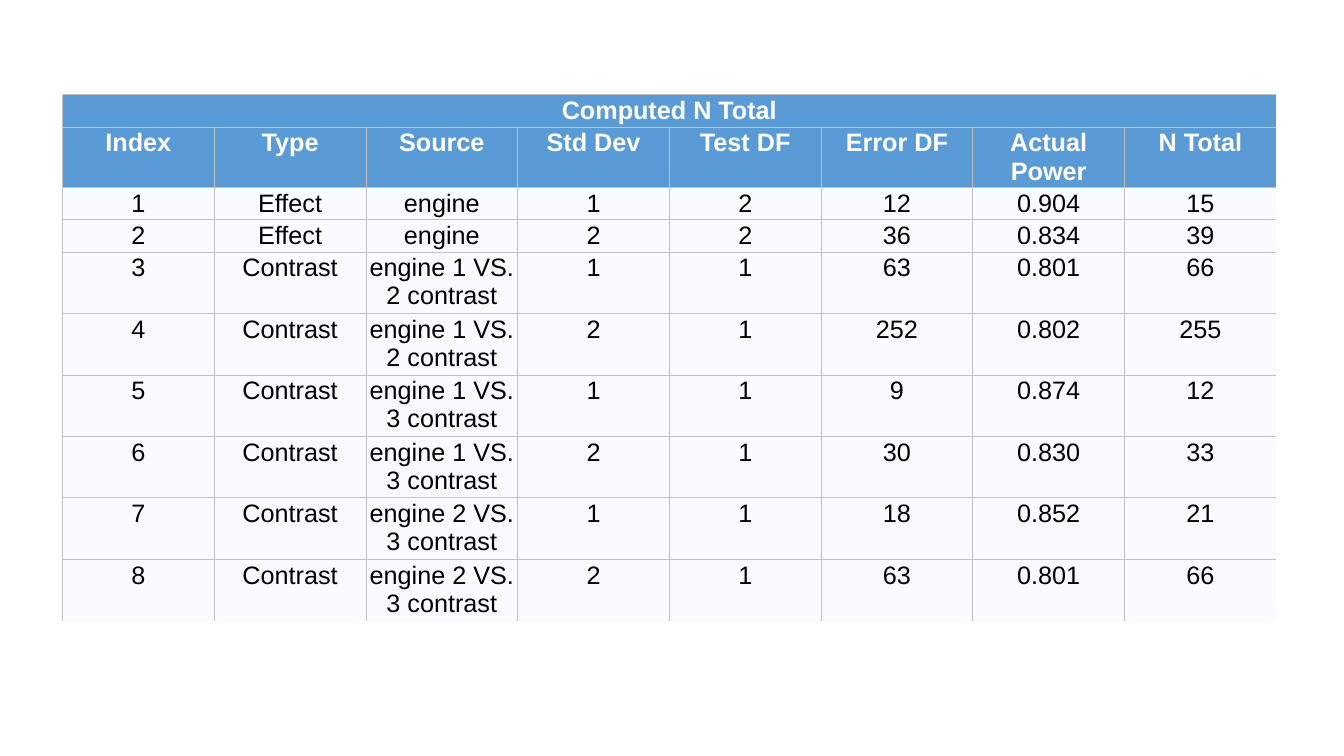
from lxml import etree
from pptx import Presentation
from pptx.dml.color import RGBColor
from pptx.enum.text import PP_ALIGN
from pptx.oxml.ns import qn
from pptx.util import Inches, Pt

CENTER = PP_ALIGN.CENTER

# Content
TITLE = "Computed N Total"
HEADERS = ["Index", "Type", "Source", "Std Dev", "Test DF", "Error DF",
           "Actual Power", "N Total"]
RESULTS = [
    ("Effect", "engine", 1, 2, 12, "0.904", 15),
    ("Effect", "engine", 2, 2, 36, "0.834", 39),
    ("Contrast", "engine 1 VS. 2 contrast", 1, 1, 63, "0.801", 66),
    ("Contrast", "engine 1 VS. 2 contrast", 2, 1, 252, "0.802", 255),
    ("Contrast", "engine 1 VS. 3 contrast", 1, 1, 9, "0.874", 12),
    ("Contrast", "engine 1 VS. 3 contrast", 2, 1, 30, "0.830", 33),
    ("Contrast", "engine 2 VS. 3 contrast", 1, 1, 18, "0.852", 21),
    ("Contrast", "engine 2 VS. 3 contrast", 2, 1, 63, "0.801", 66),
]
ROWS = [[TITLE] + [""] * (len(HEADERS) - 1), HEADERS]
ROWS += [[i, *result] for i, result in enumerate(RESULTS, 1)]

# Layout and formats, lengths in inches
SLIDE_W, SLIDE_H = 13.33, 7.5
LEFT, TOP, WIDTH, HEIGHT = 0.62, 0.94, 12.04, 5.54
ROW_HEIGHTS = [0.23, 0.42] + [0.23] * 2 + [0.61] * 6
HEADER_ROWS = 2
HEADER = {"fill": "5B9BD5", "color": "FFFFFF", "bold": True}
BODY = {"fill": "FAFBFE", "color": "000000", "bold": False}
FONT = {"name": "Arial", "size": Pt(18)}
MARGIN = Inches(0.02)
MARGINS = {f"margin_{side}": MARGIN for side in ("left", "right", "top", "bottom")}
BORDER, BORDER_PT = "C1C1C1", 0.5


def rgb(value):
    return RGBColor.from_string(value)


def set_all(target, values):
    for name, value in values.items():
        setattr(target, name, value)


def set_borders(cell, open_sides):
    """Draw a thin line on each side of the cell except the open ones."""
    props = cell._tc.get_or_add_tcPr()
    for i, side in enumerate("LRTB"):
        line = etree.Element(qn(f"a:ln{side}"), w=str(Pt(BORDER_PT)))
        if side in open_sides:
            etree.SubElement(line, qn("a:noFill"))
        else:
            fill = etree.SubElement(line, qn("a:solidFill"))
            etree.SubElement(fill, qn("a:srgbClr"), val=BORDER)
        props.insert(i, line)


def write_cell(cell, text, style):
    set_all(cell, MARGINS)
    cell.fill.solid()
    cell.fill.fore_color.rgb = rgb(style["fill"])
    p = cell.text_frame.paragraphs[0]
    p.alignment = CENTER
    set_all(p.font, FONT)
    if text != "":
        r = p.add_run()
        r.text = str(text)
        set_all(r.font, {**FONT, "bold": style["bold"]})
        r.font.color.rgb = rgb(style["color"])


def main():
    prs = Presentation()
    prs.slide_width, prs.slide_height = Inches(SLIDE_W), Inches(SLIDE_H)
    s = prs.slides.add_slide(prs.slide_layouts[6])

    # Table grid
    n_rows, n_cols = len(ROWS), len(HEADERS)
    frame = s.shapes.add_table(n_rows, n_cols, Inches(LEFT), Inches(TOP),
                               Inches(WIDTH), Inches(HEIGHT))
    table = frame.table
    table.horz_banding = False
    for row, height in zip(table.rows, ROW_HEIGHTS):
        row.height = Inches(height)
    frame.height = Inches(HEIGHT)

    # Cells, open along the right and bottom edges
    for i, values in enumerate(ROWS):
        style = HEADER if i < HEADER_ROWS else BODY
        for j, text in enumerate(values):
            cell = table.cell(i, j)
            write_cell(cell, text, style)
            open_right = "R" if i == 0 or j == n_cols - 1 else ""
            open_bottom = "B" if i == n_rows - 1 else ""
            set_borders(cell, open_right + open_bottom)
    table.cell(0, 0).merge(table.cell(0, n_cols - 1))

    prs.save("out.pptx")


if __name__ == "__main__":
    main()
